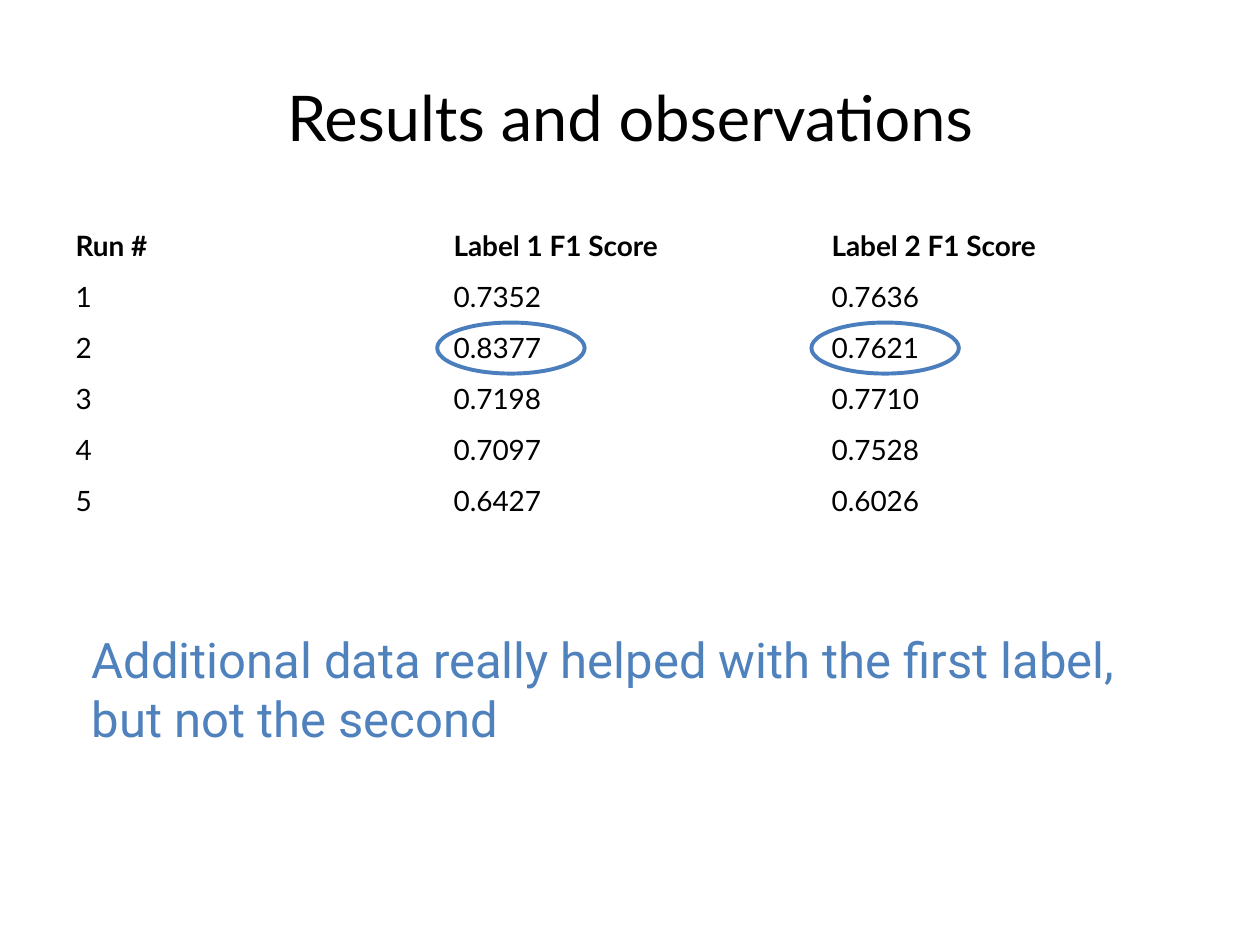
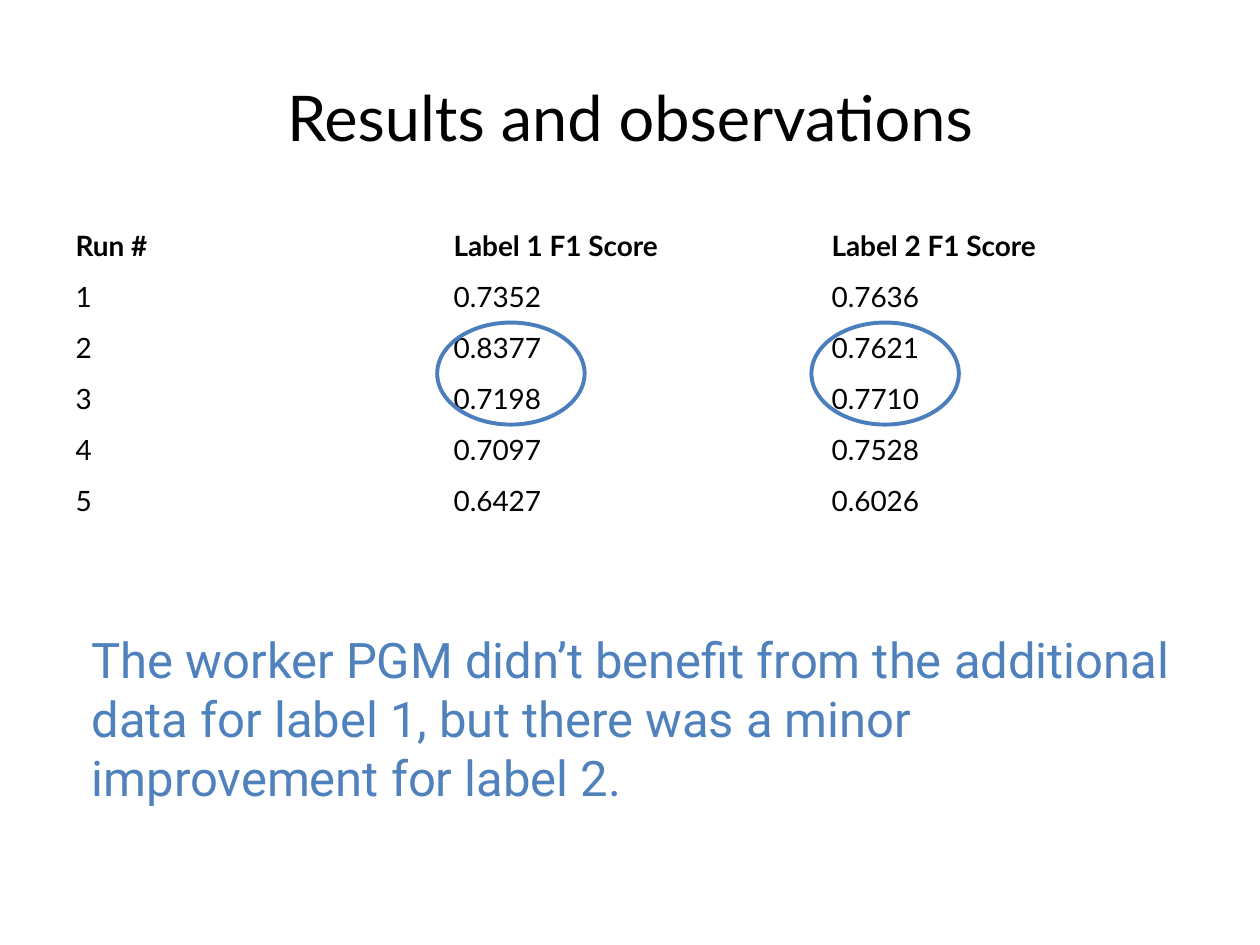
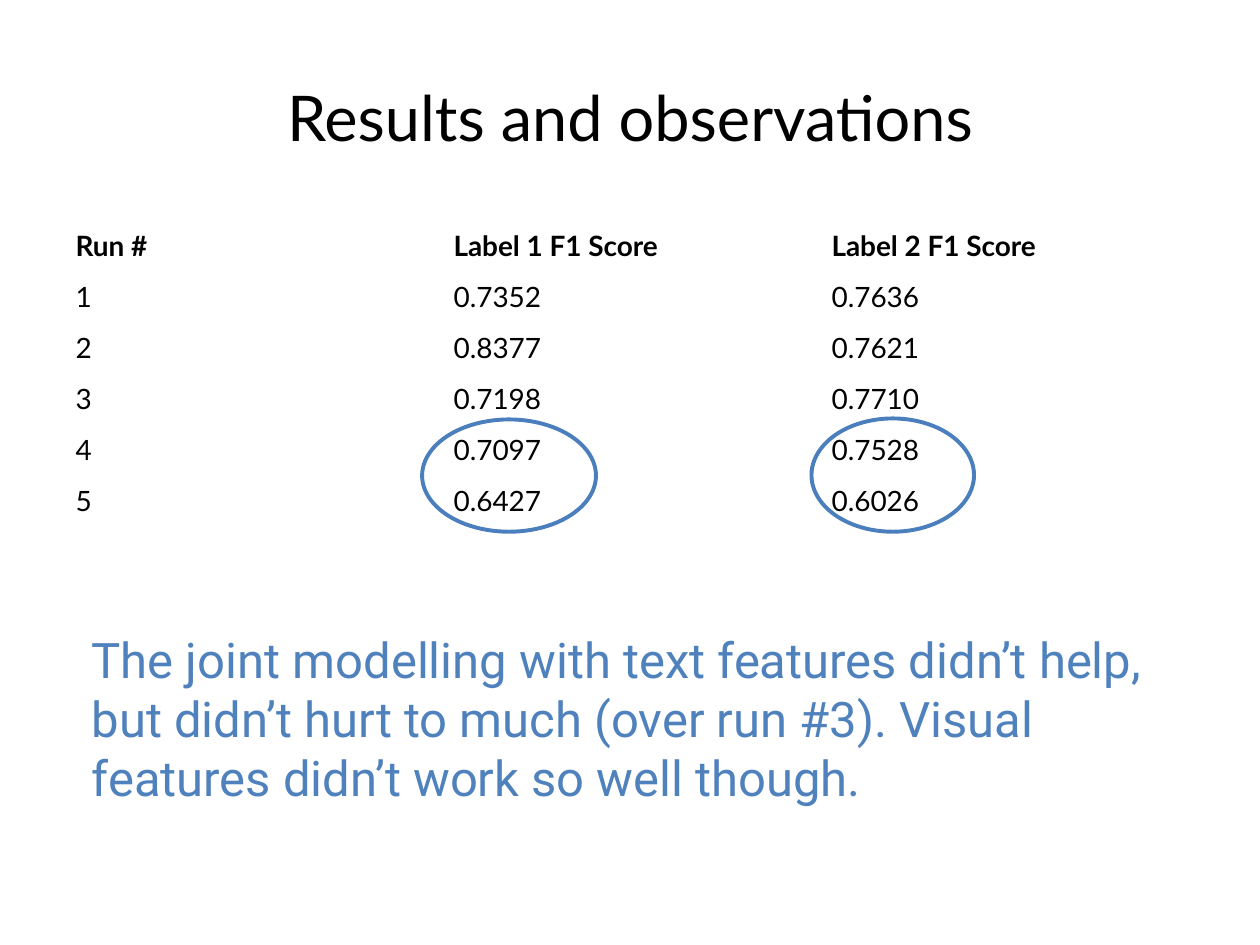
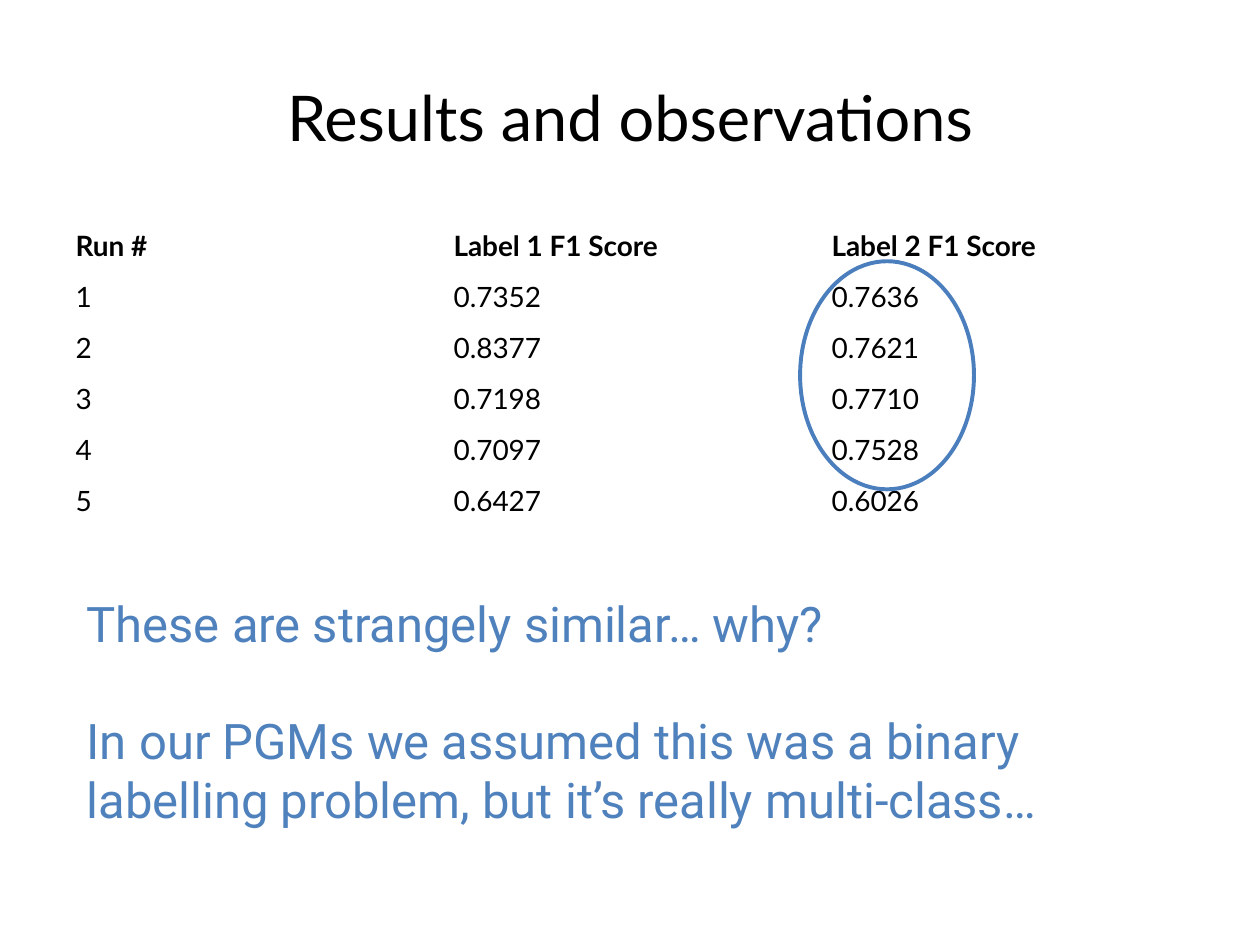
import dataclasses
import typing

import lxml.etree
import pptx
import pptx.dml.color
import pptx.enum.shapes
import pptx.enum.text
import pptx.oxml.ns
import pptx.util

HUES = {"ink": "000000", "note": "4F81BD", "ring": "4B7EBC", "rule": "FFFFFF"}

WIDE = pptx.util.Inches(10)
HIGH = pptx.util.Inches(7.5)


@dataclasses.dataclass(frozen=True)
class Box:
    left: float
    top: float
    width: float
    height: float

    def place(self) -> tuple[int, ...]:
        pairs = ((self.left, WIDE), (self.top, HIGH), (self.width, WIDE), (self.height, HIGH))
        return tuple(round(share / 100 * full) for share, full in pairs)


@dataclasses.dataclass(frozen=True)
class Ring:
    col: float
    row: float
    cols: float
    rows: float


@dataclasses.dataclass(frozen=True)
class Note:
    lines: tuple[str, ...]
    depth: int
    left: float = 6.3
    top: float = 66


@dataclasses.dataclass(frozen=True)
class Page:
    note: Note
    rings: tuple[Ring, ...]


def hue(name: str) -> pptx.dml.color.RGBColor:
    return pptx.dml.color.RGBColor.from_string(HUES[name])


TITLE = "Results and observations"
HEAD = Box(5, 4, 90, 16.67)
GRID = Box(5, 23.33, 90, 32.4)
SCORES = (
    ("Run #", "Label 1 F1 Score", "Label 2 F1 Score"),
    ("1", "0.7352", "0.7636"),
    ("2", "0.8377", "0.7621"),
    ("3", "0.7198", "0.7710"),
    ("4", "0.7097", "0.7528"),
    ("5", "0.6427", "0.6026"),
)
COL = GRID.width / len(SCORES[0])
ROW = GRID.height / len(SCORES)

FONTS = {
    "title": {"name": "Lato", "size": pptx.util.Pt(36), "bold": False},
    "head": {"name": "Lato", "size": pptx.util.Pt(16), "bold": True},
    "cell": {"name": "Lato", "size": pptx.util.Pt(16), "bold": False},
    "note": {"name": "Roboto", "size": pptx.util.Pt(28), "bold": False},
}

PAGES = (
    Page(
        Note(("Additional data really helped with the first label, but not the second",), 2),
        (Ring(0.99, 2, 0.39, 1), Ring(1.98, 2, 0.39, 1)),
    ),
    Page(
        Note((
            "The worker PGM didn’t benefit from the additional data for label 1, "
            "but there was a minor improvement for label 2.",
        ), 3),
        (Ring(0.99, 2, 0.39, 2), Ring(1.98, 2, 0.39, 2)),
    ),
    Page(
        Note((
            "The joint modelling with text features didn’t help, but didn’t hurt "
            "to much (over run #3). Visual features didn’t work so well though.",
        ), 3),
        (Ring(0.95, 3.9, 0.46, 2.2), Ring(1.98, 3.88, 0.43, 2.22)),
    ),
    Page(
        Note((
            "These are strangely similar… why?",
            "In our PGMs we assumed this was a binary labelling problem, "
            "but it’s really multi-class…",
        ), 4, 5.9, 62.1),
        (Ring(1.95, 0.8, 0.46, 4.47),),
    ),
)


def format_all(target: typing.Any, values: dict[str, typing.Any]) -> None:
    for name, value in values.items():
        setattr(target, name, value)


def write(para: typing.Any, text: str, font: str, tint: str) -> None:
    run = para.add_run()
    run.text = text
    format_all(run.font, FONTS[font])
    run.font.color.rgb = hue(tint)


def add_title(slide: typing.Any) -> None:
    title = slide.shapes.title
    format_all(title, dict(zip(("left", "top", "width", "height"), HEAD.place())))
    title.text_frame.vertical_anchor = pptx.enum.text.MSO_ANCHOR.MIDDLE
    para = title.text_frame.paragraphs[0]
    para.alignment = pptx.enum.text.PP_ALIGN.CENTER
    write(para, TITLE, "title", "ink")


def add_rules(cell: typing.Any, base: float) -> None:
    props = cell._tc.get_or_add_tcPr()
    for index, (side, width) in enumerate((("L", 1), ("R", 1), ("T", 1), ("B", base))):
        rule = lxml.etree.Element(pptx.oxml.ns.qn(f"a:ln{side}"), w=str(pptx.util.Pt(width)))
        fill = lxml.etree.SubElement(rule, pptx.oxml.ns.qn("a:solidFill"))
        lxml.etree.SubElement(fill, pptx.oxml.ns.qn("a:srgbClr"), val=HUES["rule"])
        props.insert(index, rule)


def add_scores(slide: typing.Any) -> None:
    table = slide.shapes.add_table(len(SCORES), len(SCORES[0]), *GRID.place()).table
    format_all(table, {"first_row": False, "horz_banding": False})
    for r, row in enumerate(SCORES):
        for c, text in enumerate(row):
            cell = table.cell(r, c)
            cell.fill.background()
            cell.vertical_anchor = pptx.enum.text.MSO_ANCHOR.MIDDLE
            write(cell.text_frame.paragraphs[0], text, "cell" if r else "head", "ink")
            add_rules(cell, 1 if r else 3)


def add_ring(slide: typing.Any, ring: Ring) -> None:
    box = Box(GRID.left + ring.col * COL, GRID.top + ring.row * ROW, ring.cols * COL, ring.rows * ROW)
    shape = slide.shapes.add_shape(pptx.enum.shapes.MSO_SHAPE.OVAL, *box.place())
    shape.shadow.inherit = False
    shape.fill.background()
    shape.line.color.rgb = hue("ring")
    shape.line.width = pptx.util.Pt(2.25)


def add_note(slide: typing.Any, note: Note) -> None:
    box = Box(note.left, note.top, 88.7, 1.33 + 6.27 * note.depth)
    frame = slide.shapes.add_textbox(*box.place()).text_frame
    format_all(frame, {"word_wrap": True, "auto_size": pptx.enum.text.MSO_AUTO_SIZE.SHAPE_TO_FIT_TEXT})
    for index, line in enumerate(note.lines):
        para = frame.add_paragraph() if index else frame.paragraphs[0]
        if index:
            para.space_before = pptx.util.Pt(33.5)
        write(para, line, "note", "note")


def main() -> None:
    deck = pptx.Presentation()
    format_all(deck, {"slide_width": WIDE, "slide_height": HIGH})
    for page in PAGES:
        slide = deck.slides.add_slide(deck.slide_layouts.get_by_name("Title Only"))
        add_title(slide)
        add_scores(slide)
        *under, over = page.rings
        for ring in under:
            add_ring(slide, ring)
        add_note(slide, page.note)
        add_ring(slide, over)
    deck.save("out.pptx")


if __name__ == "__main__":
    main()
